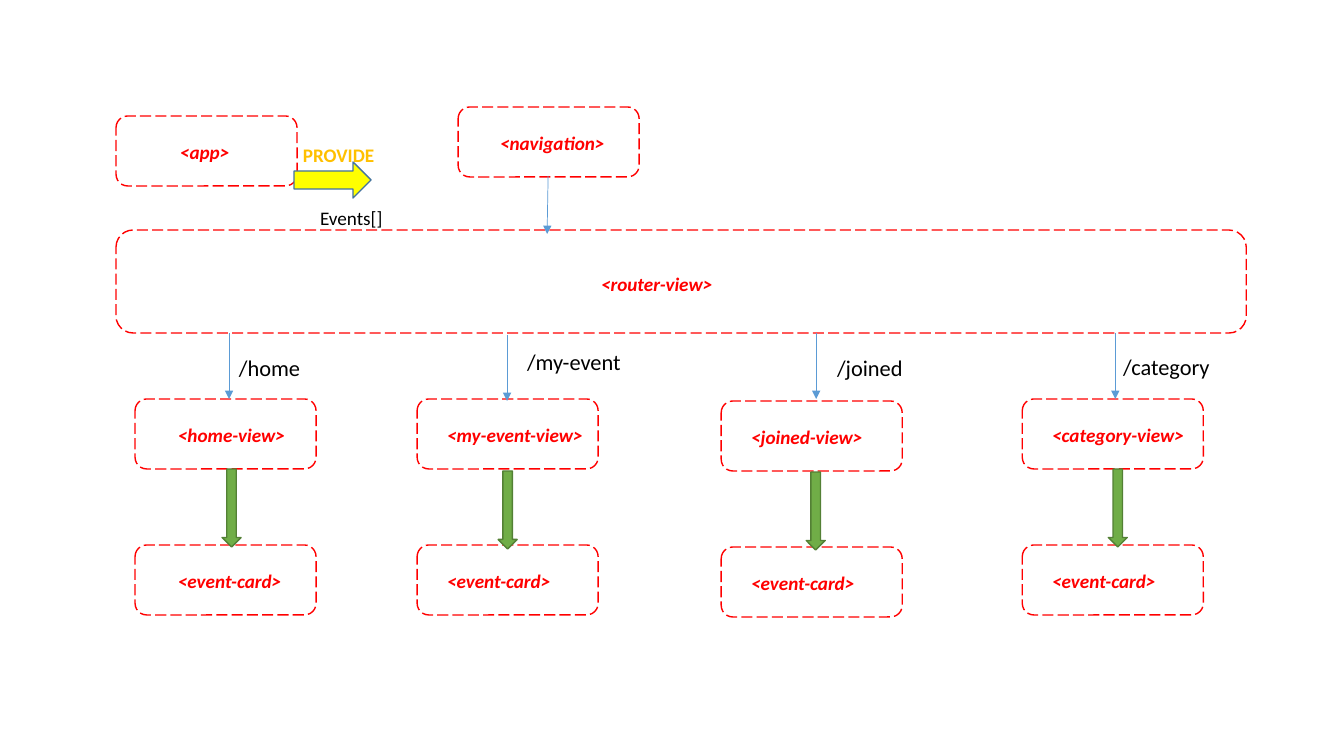
import pptx
import pptx.util
import pptx.dml.color
import pptx.enum.dml
import pptx.enum.shapes
import pptx.enum.text
import pptx.oxml.ns
import lxml.etree

HUES = {"red": "FF0000", "gold": "FFC000", "black": "000000", "yellow": "FFFF00",
        "navy": "43739E", "blue": "5B9BD5", "green": "70AD47", "moss": "538035"}
BOX = (181, 70)
STEM = 66
DROP = 146
ARROW = (19, 78)
CARD = ("<event-card>", 126)

TOPS = [
    {"tag": "<app>", "box": (116, 116, *BOX), "text": (170, 135, 71)},
    {"tag": "<navigation>", "box": (458, 107, *BOX), "text": (490, 126, 127)},
    {"tag": "<router-view>", "box": (116, 230, 1130, 103), "text": (591, 267, 155)},
]
ROUTES = [
    {"tag": "<home-view>", "width": 129, "box": (135, 399), "text": 168,
     "stem": (229, 333), "arrow": (222, 469), "route": "/home", "label": (229, 349, 112)},
    {"tag": "<my-event-view>", "width": 159, "box": (417, 399), "text": 437,
     "stem": (507, 335), "arrow": (498, 471), "route": "/my-event", "label": (517, 343, 124)},
    {"tag": "<joined-view>", "width": 134, "box": (721, 401), "text": 741,
     "stem": (816, 333), "arrow": (806, 472), "route": "/joined", "label": (827, 349, 112)},
    {"tag": "<category-view>", "width": 154, "box": (1022, 399), "text": 1042,
     "stem": (1115, 333), "arrow": (1108, 469), "route": "/category", "label": (1113, 348, 112)},
]

deck = pptx.Presentation()
deck.slide_width = pptx.util.Inches(13.33)
deck.slide_height = pptx.util.Inches(7.5)
slide = deck.slides.add_slide(deck.slide_layouts[6])
KINDS = pptx.enum.shapes.MSO_SHAPE


def px(*spans):
    return [round(span * 914400 / 100.8) for span in spans]


def hue(name):
    return pptx.dml.color.RGBColor.from_string(HUES[name])


def add_form(kind, area, line, fill=None):
    form = slide.shapes.add_shape(kind, *px(*area))
    form.shadow.inherit = False
    form.line.color.rgb = hue(line)
    form.line.width = pptx.util.Pt(1)
    if fill:
        form.fill.solid()
        form.fill.fore_color.rgb = hue(fill)
    else:
        form.fill.background()
    return form


def add_frame(area):
    frame = add_form(KINDS.ROUNDED_RECTANGLE, area, "red")
    frame.line.dash_style = pptx.enum.dml.MSO_LINE.LONG_DASH


def add_text(words, left, top, width, color="black", size=13.7, bold=False, slant=False):
    high = 37 if size > 14 else 33
    box = slide.shapes.add_textbox(*px(left, top, width, high))
    body = box.text_frame
    body.word_wrap = False
    body.auto_size = pptx.enum.text.MSO_AUTO_SIZE.SHAPE_TO_FIT_TEXT
    if size > 14:
        body.word_wrap = True
    body.text = words
    font = body.paragraphs[0].runs[0].font
    font.name = "Calibri"
    font.size = pptx.util.Pt(size)
    font.bold = bold
    font.italic = slant
    font.color.rgb = hue(color)


def add_tag(words, left, top, width):
    add_text(words, left, top, width, "red", bold=True, slant=True)


def add_link(start, end):
    link = slide.shapes.add_connector(
        pptx.enum.shapes.MSO_CONNECTOR.STRAIGHT, *px(*start, *end))
    link.line.color.rgb = hue("blue")
    link.line.width = pptx.util.Pt(0.5)
    mark = pptx.oxml.ns.qn
    line = link.line._get_or_add_ln()
    lxml.etree.SubElement(line, mark("a:tailEnd"), type="triangle")
    lxml.etree.SubElement(link._element.spPr, mark("a:effectLst"))


for top in TOPS:
    add_tag(top["tag"], *top["text"])
    add_frame(top["box"])

add_form(KINDS.RIGHT_ARROW, (294, 162, 77, 36), "navy", "yellow")
add_text("PROVIDE", 293, 138, 93, "gold", bold=True)
add_text("Events[]", 310, 201, 84)
add_link((548, 176), (547, 234))

for route in ROUTES:
    left, top = route["box"]
    pair = [(route["tag"], route["width"]), CARD]
    for step, (tag, width) in enumerate(pair):
        level = top + step * DROP
        add_tag(tag, route["text"], level + 19, width)
        add_frame((left, level, *BOX))
    across, start = route["stem"]
    add_link((across, start), (across, start + STEM))
    add_form(KINDS.DOWN_ARROW, (*route["arrow"], *ARROW), "moss", "green")
    add_text(route["route"], *route["label"], size=16)

deck.save("out.pptx")
